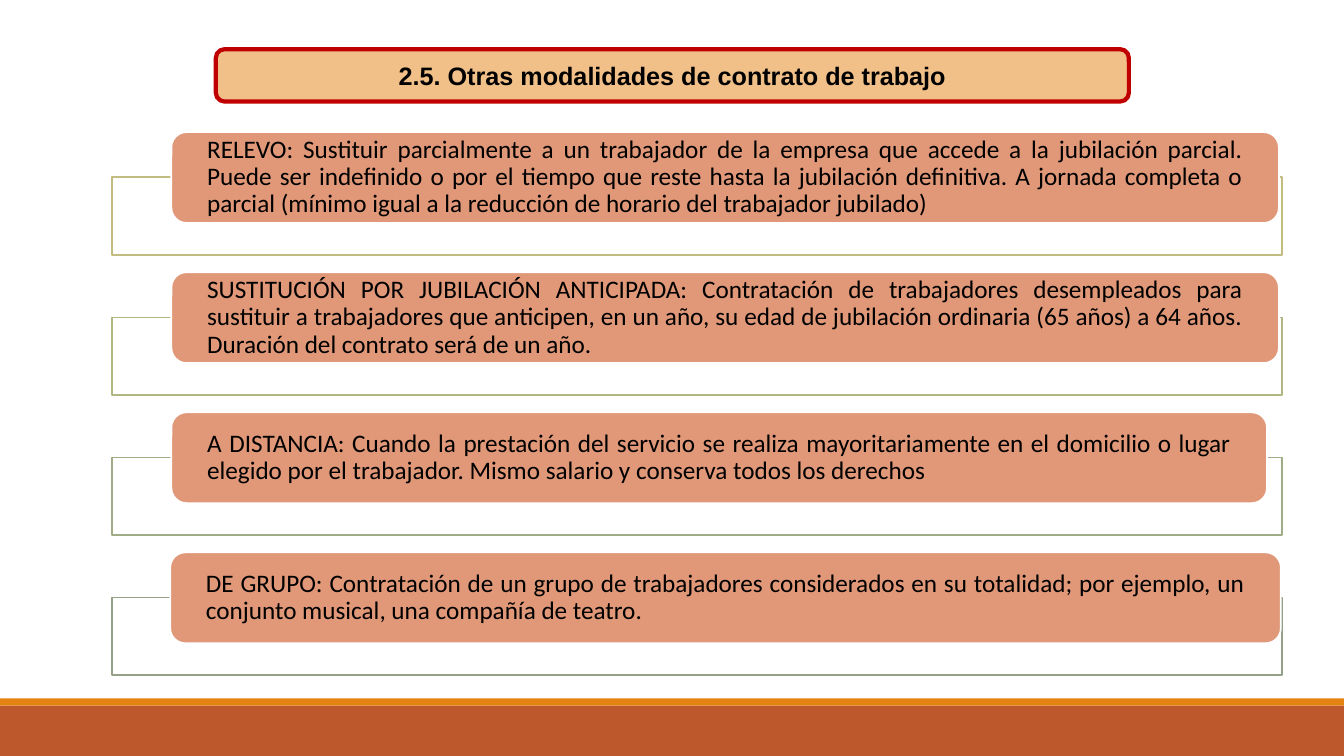
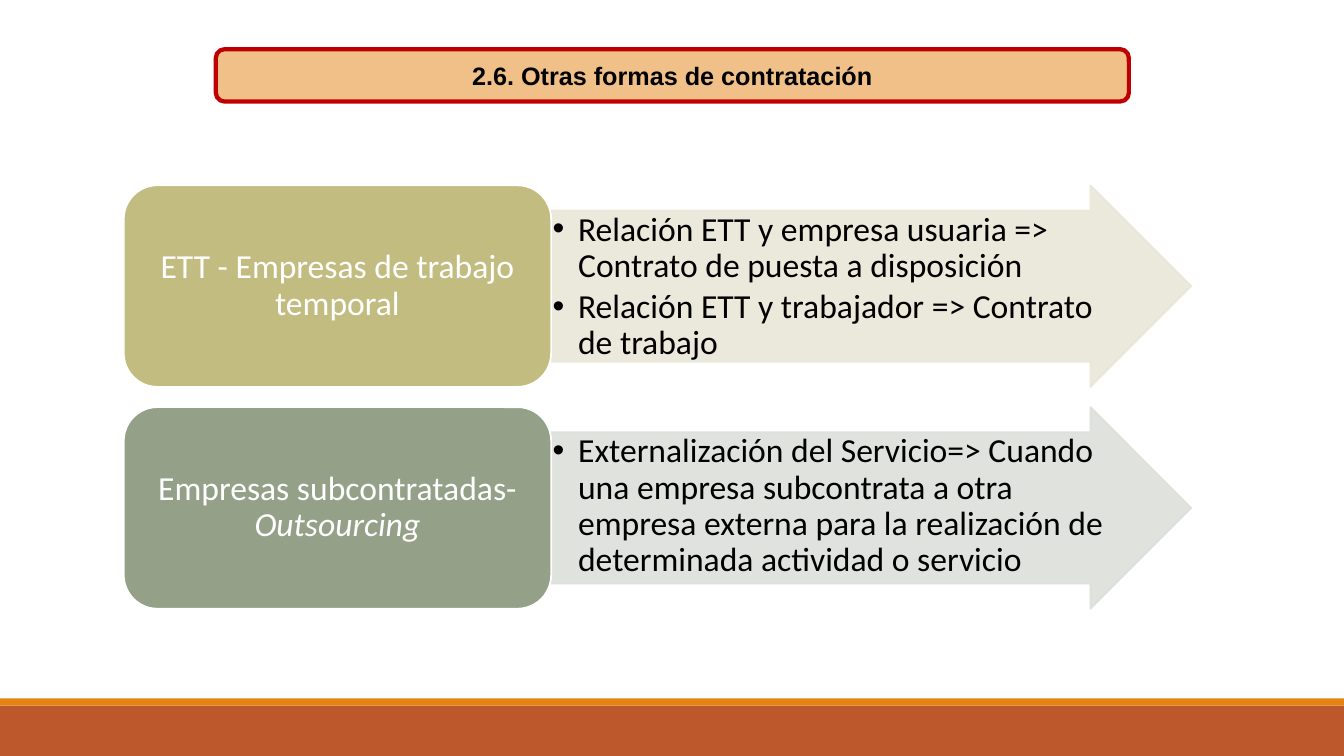
"""Build two slides on other kinds of employment contract and hiring."""
from lxml import etree
from pptx import Presentation
from pptx.dml.color import RGBColor
from pptx.enum import shapes, text
from pptx.oxml import ns
from pptx.util import Cm, Pt

COLORS = {
    "rust": "BD582C", "orange": "E48312", "red": "C00000", "salmon": "E09878",
    "white": "FFFFFF", "black": "000000",
    "sand": "C2BC80", "olive": "B2B782", "moss": "A0AC85", "sage": "94A088",
    "pale sand": "E9E7D8", "pale sage": "DCDFDA",
}
ROUNDED = shapes.MSO_SHAPE.ROUNDED_RECTANGLE
RECTANGLE = shapes.MSO_SHAPE.RECTANGLE
ARROW = shapes.MSO_SHAPE.RIGHT_ARROW
ALIGN = text.PP_ALIGN

SLIDE_WIDTH, SLIDE_HEIGHT = 33.87, 19.05
BANDS = [("rust", 17.78, 1.27), ("orange", 17.6, 0.18)]
TITLE_AT = (5.44, 1.24, 23.01, 1.32)

CONTRACTS_TITLE = "2.5. Otras modalidades de contrato de trabajo"
CONTRACTS = [
    ("sand", 4.32, 27.91, "RELEVO: Sustituir parcialmente a un trabajador de la empresa que accede a la "
     "jubilación parcial. Puede ser indefinido o por el tiempo que reste hasta la jubilación definitiva. "
     "A jornada completa o parcial (mínimo igual a la reducción de horario del trabajador jubilado)"),
    ("olive", 4.32, 27.91, "SUSTITUCIÓN POR JUBILACIÓN ANTICIPADA: Contratación de trabajadores desempleados "
     "para sustituir a trabajadores que anticipen, en un año, su edad de jubilación ordinaria (65 años) "
     "a 64 años. Duración del contrato será de un año."),
    ("moss", 4.32, 27.61, "A DISTANCIA: Cuando la prestación del servicio se realiza mayoritariamente en el "
     "domicilio o lugar elegido por el trabajador. Mismo salario y conserva todos los derechos"),
    ("sage", 4.29, 27.99, "DE GRUPO: Contratación de un grupo de trabajadores considerados en su totalidad; "
     "por ejemplo, un conjunto musical, una compañía de teatro."),
]
CARD_TOP, CARD_HEIGHT, CARD_PITCH = 3.33, 2.29, 3.53
FRAME_LEFT, FRAME_WIDTH, FRAME_HEIGHT, FRAME_DROP = 2.82, 29.49, 1.96, 1.14

HIRING_TITLE = "2.6. Otras formas de contratación"
HIRING = [
    ("sand", "pale sand", [("ETT - Empresas de trabajo temporal", False)],
     ["Relación ETT y empresa usuaria => Contrato de puesta a disposición",
      "Relación ETT y trabajador => Contrato de trabajo"]),
    ("sage", "pale sage", [("Empresas subcontratadas- ", False), ("Outsourcing", True)],
     ["Externalización del Servicio=> Cuando una empresa subcontrata a otra empresa externa para la "
      "realización de determinada actividad o servicio"]),
]
ROW_TOP, ROW_HEIGHT, ROW_PITCH = 4.67, 5.08, 5.59
LABEL_LEFT, LABEL_WIDTH, ARROW_WIDTH = 3.12, 10.77, 16.13


def rgb(name):
    return RGBColor.from_string(COLORS[name])


def set_alpha(color_parent, percent):
    for color in color_parent.iter(ns.qn("a:srgbClr")):
        etree.SubElement(color, ns.qn("a:alpha")).set("val", str(percent * 1000))


def add_box(page, kind, at, fill, line=None, width=1.25, alpha=None):
    box = page.shapes.add_shape(kind, *[Cm(length) for length in at])
    box.shadow.inherit = False
    if fill:
        box.fill.solid()
        box.fill.fore_color.rgb = rgb(fill)
        if alpha:
            set_alpha(box.element.spPr.find(ns.qn("a:solidFill")), alpha)
    else:
        box.fill.background()
    if line:
        box.line.color.rgb = rgb(line)
        box.line.width = Pt(width)
    else:
        box.line.fill.background()
    return box


def write(box, paragraphs, size=18, color="black", font="Calibri", bold=False, align=ALIGN.CENTER,
          anchor=text.MSO_ANCHOR.MIDDLE, spacing=0.9, after=0, margins=(0.25, 0.13), bullet=False):
    frame = box.text_frame
    frame.word_wrap = True
    frame.vertical_anchor = anchor
    frame.margin_left = frame.margin_right = Cm(margins[0])
    frame.margin_top = frame.margin_bottom = Cm(margins[1])
    for index, pieces in enumerate(paragraphs):
        para = frame.add_paragraph() if index else frame.paragraphs[0]
        para.alignment = align
        para.line_spacing = spacing
        para.space_after = Pt(after)
        if bullet:
            properties = para._p.get_or_add_pPr()
            properties.set("marL", str(Cm(0.64)))
            properties.set("indent", str(Cm(-0.64)))
            etree.SubElement(properties, ns.qn("a:buFont")).set("typeface", "Arial")
            etree.SubElement(properties, ns.qn("a:buChar")).set("char", "•")
        for words, italic in pieces:
            span = para.add_run()
            span.text = words
            span.font.name = font
            span.font.size = Pt(size)
            span.font.bold = bold
            span.font.italic = italic
            span.font.color.rgb = rgb(color)


def add_page(deck, title):
    page = deck.slides.add_slide(deck.slide_layouts[6])
    box = add_box(page, ROUNDED, TITLE_AT, "orange", "red", width=3, alpha=50)
    write(box, [[(title, False)]], font="Arial", bold=True, spacing=1)
    return page


def move_bands_to_master(deck, page):
    for number, (fill, top, height) in enumerate(BANDS):
        band = add_box(page, RECTANGLE, (0, top, SLIDE_WIDTH, height), fill)
        band.element.nvSpPr.cNvPr.set("id", str(100 + number))
        deck.slide_master.shapes.element.append(band.element)


def add_contracts(page):
    for index, (line, left, width, words) in enumerate(CONTRACTS):
        top = CARD_TOP + index * CARD_PITCH
        add_box(page, RECTANGLE, (FRAME_LEFT, top + FRAME_DROP, FRAME_WIDTH, FRAME_HEIGHT),
                "white", line, alpha=90)
        card = add_box(page, ROUNDED, (left, top, width, CARD_HEIGHT), "salmon", "white")
        write(card, [[(words, False)]], align=ALIGN.JUSTIFY, margins=(0.79, 0))


def add_hiring(page):
    for index, (fill, pale, label, points) in enumerate(HIRING):
        top = ROW_TOP + index * ROW_PITCH
        arrow = add_box(page, ARROW, (LABEL_LEFT + LABEL_WIDTH, top, ARROW_WIDTH, ROW_HEIGHT),
                        pale, pale, alpha=90)
        set_alpha(arrow.line._get_or_add_ln(), 90)
        arrow.adjustments[0] = 0.75
        arrow.adjustments[1] = 0.5
        write(arrow, [[(point, False)] for point in points], size=24, align=ALIGN.LEFT,
              anchor=text.MSO_ANCHOR.TOP, after=3.6, margins=(0.04, 0.04), bullet=True)
        name = add_box(page, ROUNDED, (LABEL_LEFT, top, LABEL_WIDTH, ROW_HEIGHT), fill, "white")
        write(name, [label], size=24, color="white")


def main():
    deck = Presentation()
    deck.slide_width, deck.slide_height = Cm(SLIDE_WIDTH), Cm(SLIDE_HEIGHT)
    contracts = add_page(deck, CONTRACTS_TITLE)
    move_bands_to_master(deck, contracts)
    add_contracts(contracts)
    add_hiring(add_page(deck, HIRING_TITLE))
    deck.save("out.pptx")


if __name__ == "__main__":
    main()
